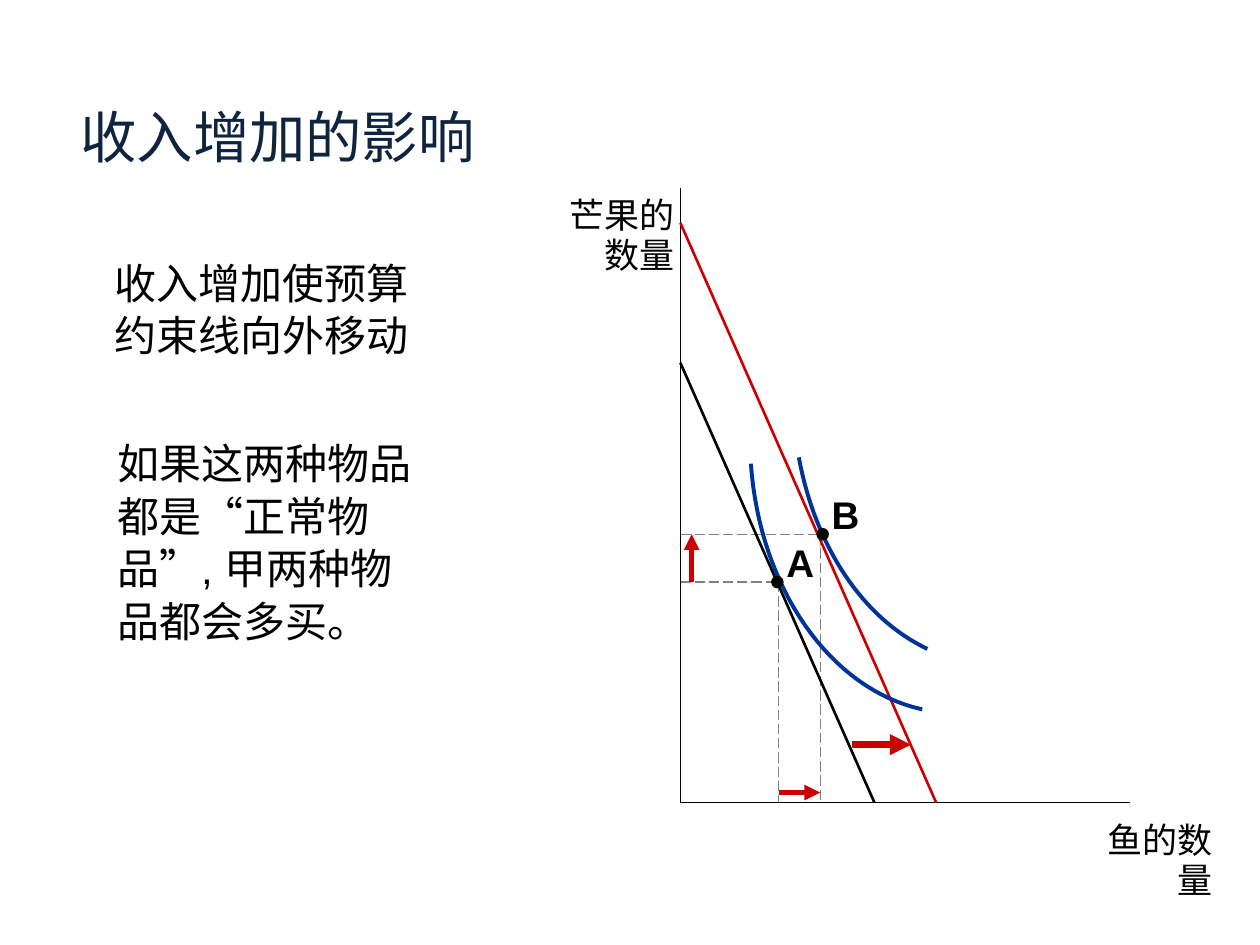
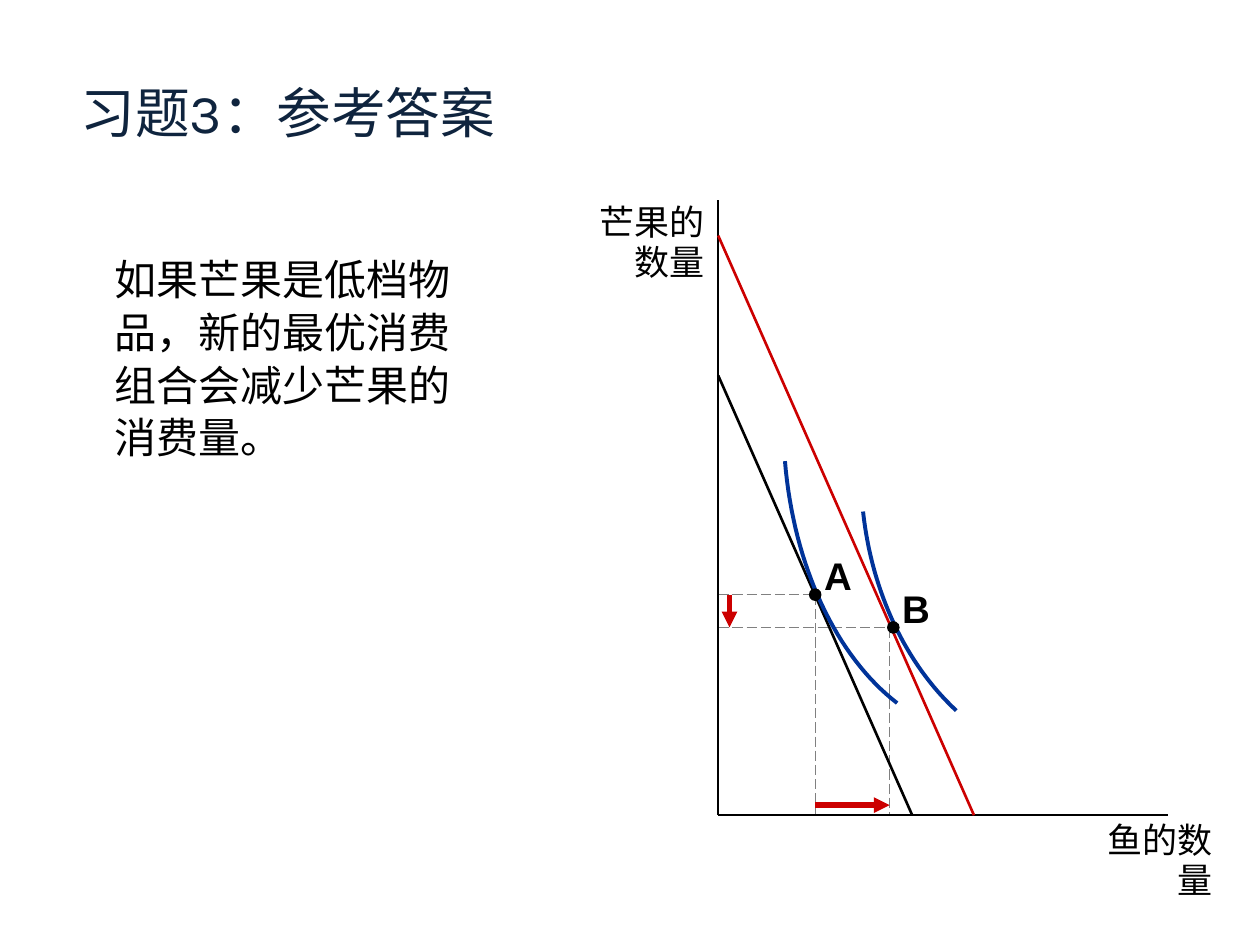
from lxml import etree
from pptx import Presentation
from pptx.dml.color import RGBColor
from pptx.enum import dml, lang, shapes, text
from pptx.oxml.ns import qn
from pptx.util import Inches, Pt

BLACK = RGBColor(0x00, 0x00, 0x00)
NAVY = RGBColor(0x0F, 0x24, 0x3E)
BLUE = RGBColor(0x00, 0x33, 0x99)
RED = RGBColor(0xCC, 0x00, 0x00)
GREY = RGBColor(0x80, 0x80, 0x80)

LEFT = text.PP_ALIGN.LEFT
RIGHT = text.PP_ALIGN.RIGHT
TOP = text.MSO_ANCHOR.TOP
MIDDLE = text.MSO_ANCHOR.MIDDLE


def write(shape, words, size=24, color=BLACK, font="Arial", bold=False,
          align=LEFT, anchor=TOP, space=1.0):
    frame = shape.text_frame
    frame.word_wrap = True
    frame.auto_size = text.MSO_AUTO_SIZE.NONE
    frame.vertical_anchor = anchor
    para = frame.paragraphs[0]
    para.alignment = align
    para.line_spacing = space
    para.space_before = Pt(0)
    run = para.add_run()
    run.text = words
    run.font.size = Pt(size)
    run.font.name = font
    run.font.bold = bold
    run.font.color.rgb = color
    run.font.language_id = lang.MSO_LANGUAGE_ID.SIMPLIFIED_CHINESE
    return frame


def place(shape, left, top, width, height):
    shape.left, shape.top = Inches(left), Inches(top)
    shape.width, shape.height = Inches(width), Inches(height)


def bezier(points, steps=32):
    for i in range(steps + 1):
        t = i / steps
        parts = ((1 - t) ** 3, 3 * t * (1 - t) ** 2, 3 * t * t * (1 - t), t ** 3)
        yield tuple(Inches(sum(w * p[k] for w, p in zip(parts, points)))
                    for k in (0, 1))


class Deck:
    def __init__(self):
        self.prs = Presentation()
        self.prs.slide_width, self.prs.slide_height = Inches(10), Inches(7.5)
        self.slide = None

    def start(self, layout):
        self.slide = self.prs.slides.add_slide(self.prs.slide_layouts[layout])

    def title(self, words, size, drop=0.0):
        shape = self.slide.shapes.title
        place(shape, 0.54, 0.37, 8.98, 1.04)
        frame = write(shape, words, size=size, color=NAVY, font="Karla", anchor=MIDDLE)
        frame.margin_top = Inches(0.05 + drop)

    def body(self, slot, words, *box):
        shape = self.slide.placeholders[slot]
        place(shape, *box)
        frame = write(shape, words, space=1.05)
        props = frame.paragraphs[0]._p.get_or_add_pPr()
        props.set("marL", "0")
        props.set("indent", "0")
        etree.SubElement(props, qn("a:buNone"))

    def label(self, words, left, top, width=1.04, height=0.74, inset=None, **style):
        box = self.slide.shapes.add_textbox(
            Inches(left), Inches(top), Inches(width), Inches(height))
        frame = write(box, words, **style)
        if inset is not None:
            frame.margin_left = frame.margin_right = Inches(inset)
            frame.margin_top = frame.margin_bottom = Inches(inset)

    def line(self, start, end, color=BLACK, width=1.0, dash=False, arrow=False):
        link = self.slide.shapes.add_connector(
            shapes.MSO_CONNECTOR.STRAIGHT, *map(Inches, (*start, *end)))
        link.line.color.rgb = color
        link.line.width = Pt(width)
        if dash:
            link.line.dash_style = dml.MSO_LINE.LONG_DASH
        props = link.element.spPr
        if arrow:
            etree.SubElement(props.find(qn("a:ln")), qn("a:tailEnd"), type="triangle")
        etree.SubElement(props, qn("a:effectLst"))

    def curve(self, points):
        first, *rest = bezier(points)
        path = self.slide.shapes.build_freeform(*first)
        path.add_line_segments(rest, close=False)
        shape = path.convert_to_shape()
        shape.fill.background()
        shape.line.color.rgb = BLUE
        shape.line.width = Pt(2.25)
        shape.shadow.inherit = False

    def dot(self, x, y, size=0.1):
        shape = self.slide.shapes.add_shape(
            shapes.MSO_SHAPE.OVAL, Inches(x - size / 2), Inches(y - size / 2),
            Inches(size), Inches(size))
        shape.fill.solid()
        shape.fill.fore_color.rgb = BLACK
        shape.line.fill.background()
        shape.shadow.inherit = False

    def graph(self, x, y, spots, curves, name):
        for across, up, _ in spots.values():
            self.line((x, up), (across, up), GREY, 0.75, dash=True)
            self.line((across, up), (across, y), GREY, 0.75, dash=True)
        self.line((x, y - 4.88), (x, y))
        self.line((x, y), (x + 3.57, y))
        self.line((x, y - 3.49), (x + 1.54, y), width=1.5)
        self.line((x, y - 4.6), (x + 2.03, y), RED, 1.5)
        for points in curves:
            self.curve(points)
        for letter, (across, up, shift) in spots.items():
            self.dot(across + shift, up)
            self.label(letter, across + shift + 0.07, up - 0.34, 0.32, 0.37,
                       inset=0, size=22, bold=True)
        a, b = spots["A"], spots["B"]
        self.line((x + 0.09, a[1]), (x + 0.09, b[1]), RED, 3, arrow=True)
        self.line((a[0], y - 0.08), (b[0], y - 0.08), RED, 3, arrow=True)
        axis = dict(size=20, align=RIGHT, space=0.95)
        self.label("芒果的数量", *name, **axis)
        self.label("鱼的数量", 8.68, 6.47, **axis)


def main():
    deck = Deck()

    deck.start(3)
    deck.title("收入增加的影响", 32.2, drop=0.38)
    deck.body(1, "收入增加使预算约束线向外移动", 0.81, 1.97, 2.83, 0.92)
    deck.body(2, "如果这两种物品都是“正常物品”, 甲两种物品都会多买。",
              0.83, 3.4, 2.69, 1.8)
    for slot in list(deck.slide.placeholders):
        if not slot.text_frame.text:
            slot.element.getparent().remove(slot.element)
    deck.graph(
        5.4, 6.37,
        {"A": (6.18, 4.62, -0.01), "B": (6.51, 4.24, 0.02)},
        [[(7.32, 5.63), (6.59, 5.47), (6.03, 4.67), (5.96, 3.68)],
         [(7.36, 5.15), (6.85, 4.91), (6.47, 4.34), (6.34, 3.63)]],
        (4.41, 1.51))
    deck.line((6.76, 5.91), (7.23, 5.91), RED, 4, arrow=True)

    deck.start(1)
    deck.title("习题3：参考答案", 31.2)
    deck.body(1, "如果芒果是低档物品，新的最优消费组合会减少芒果的消费量。",
              0.81, 1.94, 3.08, 1.8)
    deck.graph(
        5.7, 6.47,
        {"A": (6.47, 4.72, 0), "B": (7.06, 4.98, 0.03)},
        [[(7.12, 5.58), (6.64, 5.21), (6.3, 4.5), (6.23, 3.66)],
         [(7.59, 5.64), (7.19, 5.27), (6.92, 4.7), (6.85, 4.06)]],
        (4.65, 1.57))

    deck.prs.save("out.pptx")


if __name__ == "__main__":
    main()
